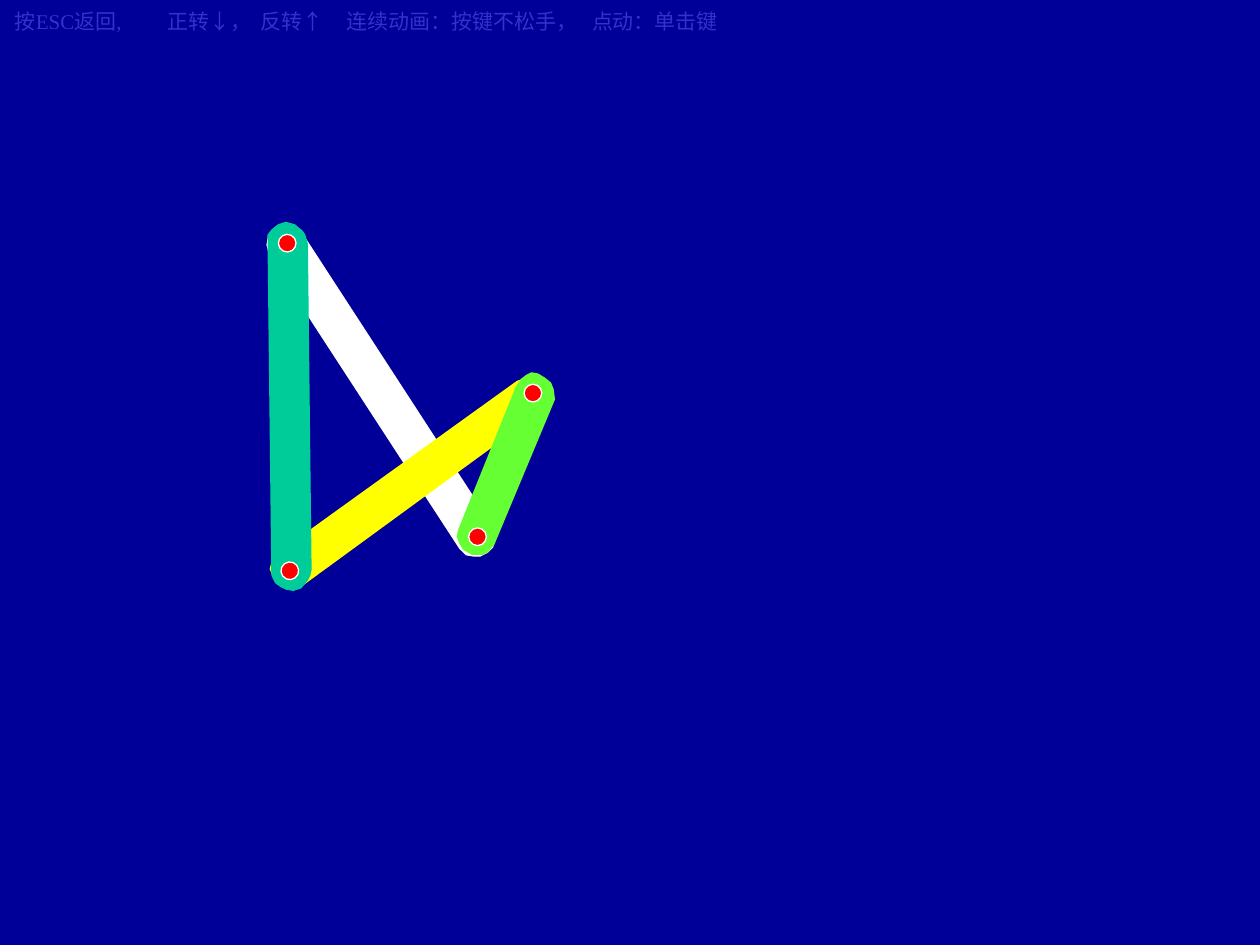
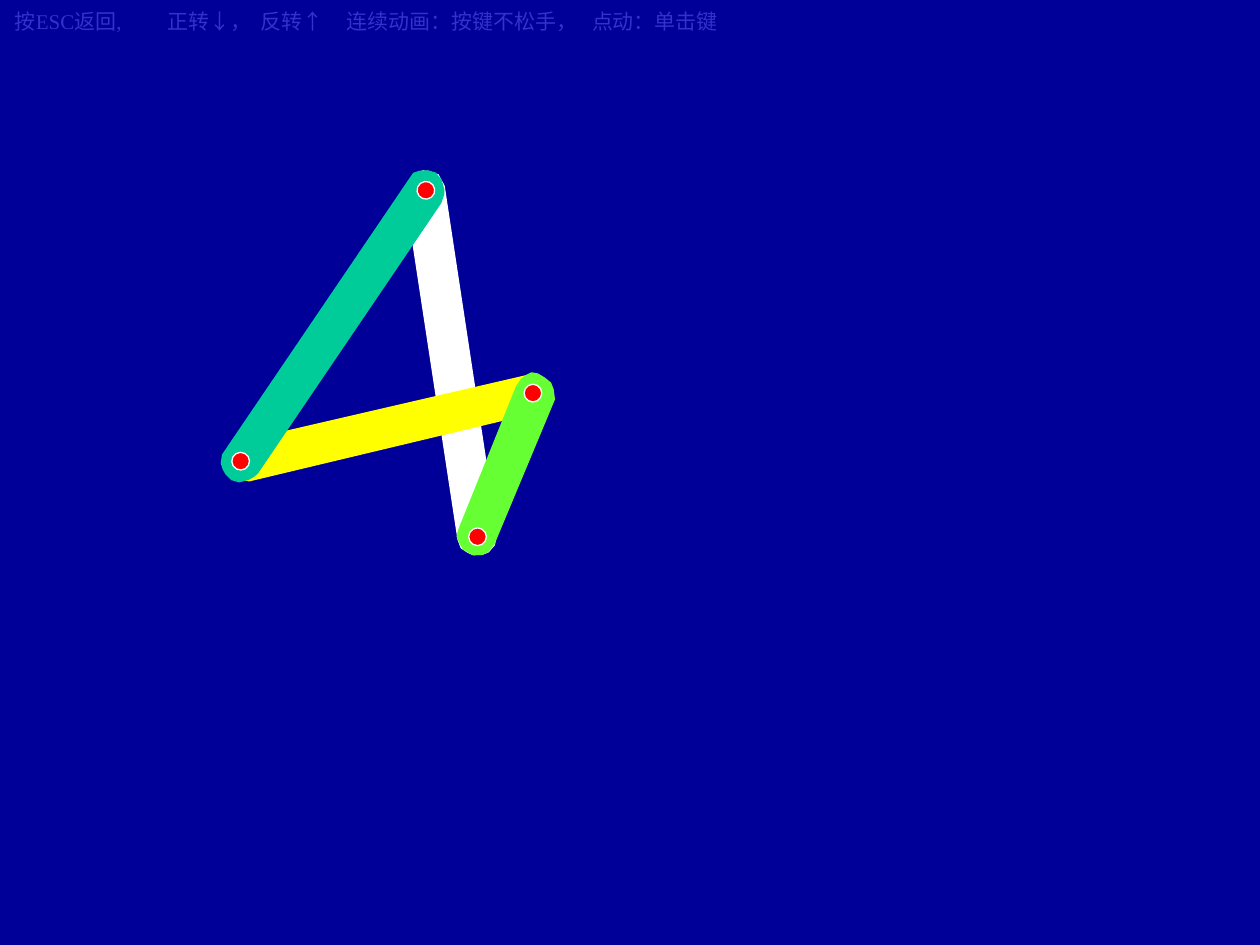
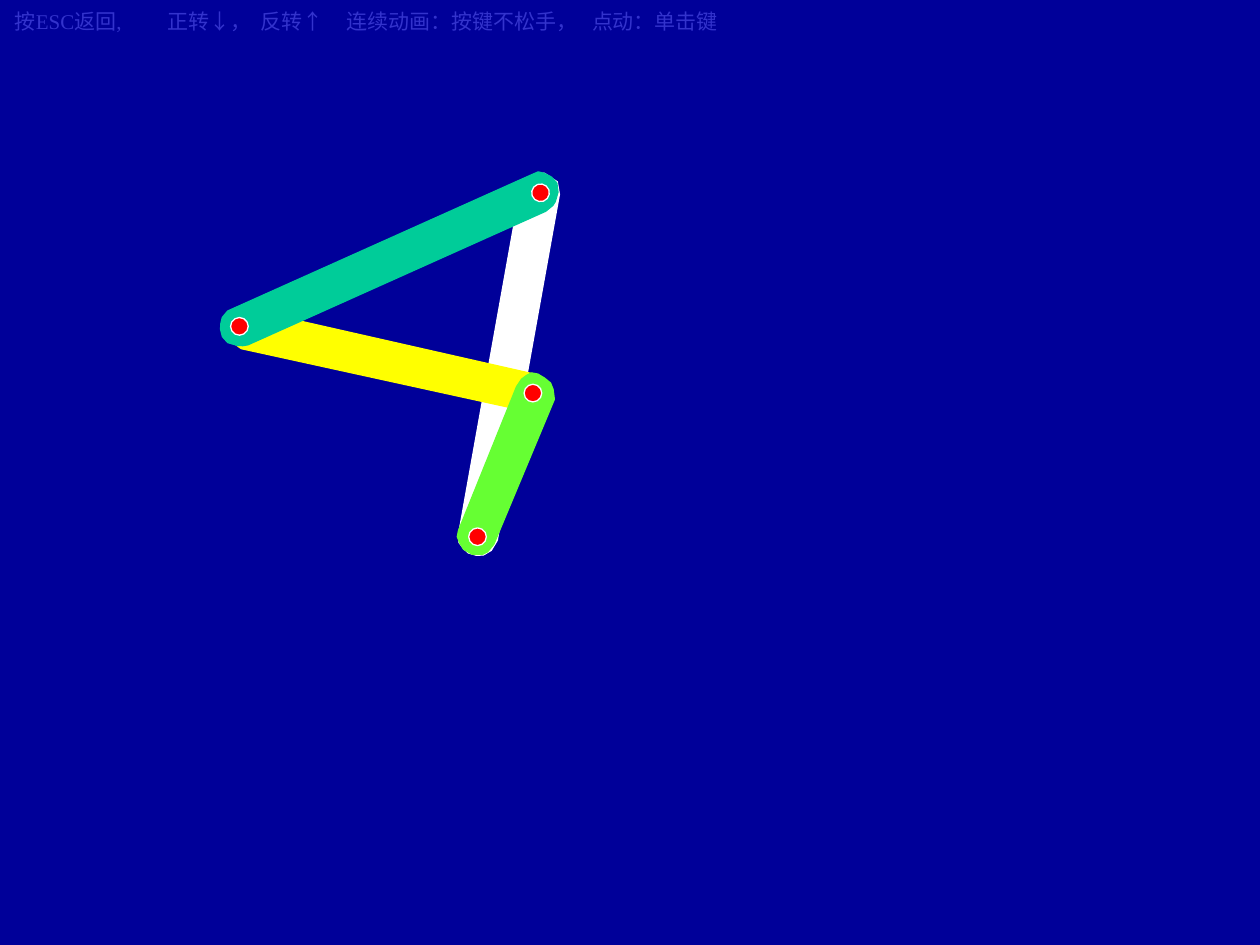
"""Three poses of a four-bar linkage, one pose to a slide."""
import math
from dataclasses import dataclass

from lxml import etree
from pptx import Presentation
from pptx import util as u
from pptx.dml.color import RGBColor
from pptx.enum import shapes, text
from pptx.oxml.ns import qn

PX = u.Inches(1) // 100
BLANK_LAYOUT = 6
NAVY, HINT_BLUE, WHITE, RED = "000099", "3333CC", "FFFFFF", "FF0000"
YELLOW, TEAL, LIME = "FFFF00", "00CC99", "66FF33"
PIN_SIZE = 14
HINTS = ("按ESC返回,", "正转↓，", "反转↑", "连续动画：按键不松手，", "点动：单击键")
HINT_STOPS = (121, 195, 263, 458)
HINT_FRAME = dict(word_wrap=True, auto_size=text.MSO_AUTO_SIZE.SHAPE_TO_FIT_TEXT,
                  margin_left=10 * PX, margin_right=10 * PX,
                  margin_top=5 * PX, margin_bottom=5 * PX)
HINT_FONT = dict(name="Times New Roman", size=u.Pt(12))


@dataclass(frozen=True)
class Link:
    """A bar's colour and its outline as it lies at a given turn."""
    color: str
    drawn_turn: float
    outline: tuple[tuple[int, int], ...]


@dataclass(frozen=True)
class Pose:
    """Top left corner of the unturned frame and its turn in degrees."""
    left: int
    top: int
    turn: float = 0


@dataclass(frozen=True)
class Stage:
    """Poses of the moving bars and pins on one slide."""
    coupler: Pose
    rocker: Pose
    crank: Pose
    lower_pin: Pose
    upper_pin: Pose


COUPLER = Link(WHITE, 237.1, (
    (365, 435), (214, 203), (213, 198), (212, 194), (213, 188), (215, 184),
    (219, 180), (225, 179), (231, 178), (235, 181), (239, 184), (391, 418),
    (393, 427), (391, 434), (387, 438), (381, 441), (376, 441), (370, 440)))
ROCKER = Link(YELLOW, 175, (
    (428, 327), (239, 465), (230, 467), (226, 466), (220, 462), (217, 459),
    (214, 452), (216, 444), (221, 439), (410, 303), (416, 301), (421, 301),
    (427, 302), (432, 308), (434, 315), (433, 323)))
CRANK = Link(TEAL, 203, (
    (243, 193), (246, 452), (245, 456), (243, 460), (238, 466), (232, 468),
    (226, 467), (222, 465), (218, 462), (215, 456), (212, 193), (212, 186),
    (215, 182), (220, 178), (226, 176), (233, 178), (239, 183), (241, 186)))
GROUND = Link(LIME, 0, (
    (364, 421), (410, 307), (414, 301), (418, 298), (422, 296), (427, 297),
    (432, 300), (437, 304), (439, 309), (440, 317), (392, 432), (387, 438),
    (383, 440), (375, 440), (368, 436), (365, 431), (363, 426)))
GROUND_POSE = Pose(363, 296)
GROUND_PINS = (Pose(372, 419), Pose(416, 305))

STAGES = (
    Stage(Pose(148, 294, 237.1), Pose(209, 309, 175), Pose(161, 188, 203),
          Pose(223, 446, 203), Pose(221, 186, 237.1)),
    Stage(Pose(204, 272, 261.5), Pose(192, 265, 197.7), Pose(196, 124, 237.8),
          Pose(184, 359, 237.8), Pose(331, 144, 261.5)),
    Stage(Pose(250, 273, 280.3), Pose(193, 212, 223.5), Pose(241, 71, 269.5),
          Pose(183, 252, 269.5), Pose(422, 146, 280.3)),
)


def rgb(color: str) -> RGBColor:
    """Turn a hex string into a colour."""
    return RGBColor.from_string(color)


def apply(target, values: dict) -> None:
    """Set every named attribute on the target."""
    for name, value in values.items():
        setattr(target, name, value)


def finish(part, fill: str, edge: str, pose: Pose) -> None:
    """Colour a part and put it in its pose."""
    part.shadow.inherit = False
    part.fill.solid()
    part.fill.fore_color.rgb = rgb(fill)
    part.line.color.rgb = rgb(edge)
    part.line.width = u.Pt(0.75)
    apply(part, dict(left=pose.left * PX, top=pose.top * PX, rotation=pose.turn))


def draw_link(canvas, link: Link, pose: Pose) -> None:
    """Draw a bar, unturning its outline so that the pose can turn it."""
    angle = math.radians(link.drawn_turn)
    unturn = complex(math.cos(angle), -math.sin(angle)) * PX
    corners = [complex(x, y) * unturn for x, y in link.outline]
    points = [(corner.real, corner.imag) for corner in corners]
    builder = canvas.build_freeform(*points[0], scale=1.0)
    builder.add_line_segments(points[1:], close=True)
    finish(builder.convert_to_shape(), link.color, link.color, pose)


def draw_pin(canvas, pose: Pose) -> None:
    """Draw a round joint."""
    pin = canvas.add_shape(shapes.MSO_SHAPE.OVAL, 0, 0, PIN_SIZE * PX, PIN_SIZE * PX)
    finish(pin, RED, WHITE, pose)


def draw_hints(canvas) -> None:
    """Write the key hints along the top, spaced by tab stops."""
    frame = canvas.add_textbox(2 * PX, 2 * PX, 649 * PX, 30 * PX).text_frame
    apply(frame, HINT_FRAME)
    line = frame.paragraphs[0]
    stops = etree.SubElement(line._p.get_or_add_pPr(), qn("a:tabLst"))
    for stop in HINT_STOPS:
        etree.SubElement(stops, qn("a:tab"), pos=str(stop * PX), algn="l")
    hints = line.add_run()
    hints.text = "\t".join(HINTS)
    apply(hints.font, HINT_FONT)
    hints.font.color.rgb = rgb(HINT_BLUE)


def draw_stage(slide, stage: Stage) -> None:
    """Draw the whole linkage in one stage of its motion."""
    slide.background.fill.solid()
    slide.background.fill.fore_color.rgb = rgb(NAVY)
    canvas = slide.shapes
    draw_link(canvas, COUPLER, stage.coupler)
    draw_link(canvas, ROCKER, stage.rocker)
    draw_link(canvas, CRANK, stage.crank)
    draw_pin(canvas, stage.lower_pin)
    draw_pin(canvas, stage.upper_pin)
    ground = canvas.add_group_shape()
    draw_link(ground.shapes, GROUND, GROUND_POSE)
    for pin in GROUND_PINS:
        draw_pin(ground.shapes, pin)
    ground_frame = dict(left=363 * PX, top=296 * PX, width=77 * PX, height=144 * PX)
    apply(ground, ground_frame)
    child_frame = ground._element.grpSpPr.find(qn("a:xfrm"))
    for tag, values in (("a:chOff", dict(x=363, y=296)), ("a:chExt", dict(cx=77, cy=144))):
        for name, value in values.items():
            child_frame.find(qn(tag)).set(name, str(value * PX))
    draw_hints(canvas)


def main() -> None:
    """Build the deck."""
    deck = Presentation()
    apply(deck, dict(slide_width=1000 * PX, slide_height=750 * PX))
    for stage in STAGES:
        draw_stage(deck.slides.add_slide(deck.slide_layouts[BLANK_LAYOUT]), stage)
    deck.save("out.pptx")


if __name__ == "__main__":
    main()
